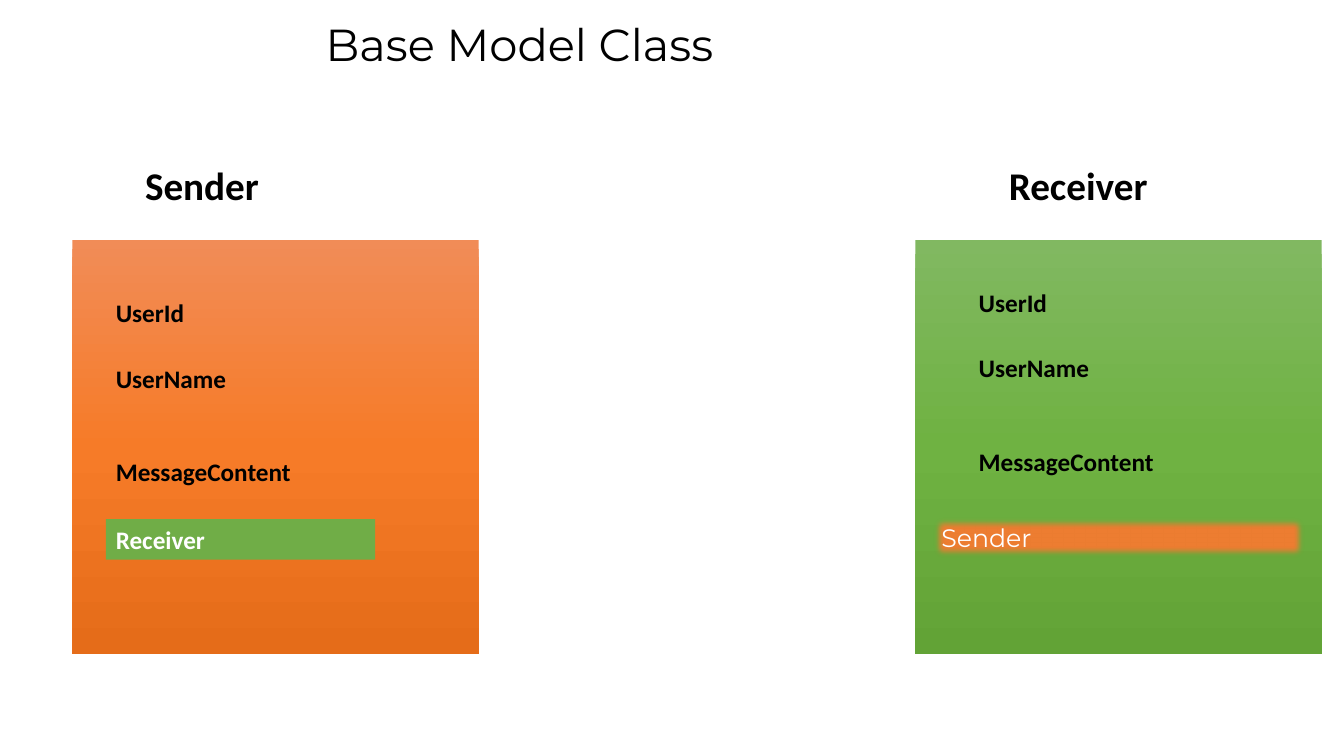
from copy import deepcopy
from dataclasses import dataclass

from lxml.etree import SubElement
from pptx import Presentation
from pptx.dml.color import RGBColor
from pptx.enum.shapes import MSO_SHAPE
from pptx.enum.text import MSO_ANCHOR, MSO_AUTO_SIZE, PP_ALIGN
from pptx.oxml.ns import qn
from pptx.shapes.autoshape import Shape
from pptx.slide import Slide
from pptx.util import Pt


@dataclass(frozen=True)
class Box:
    left: float
    top: float
    width: float
    height: float


@dataclass(frozen=True)
class Label:
    text: str
    box: Box
    size: float = 18
    font: str = "Calibri"
    color: str = "000000"
    bold: bool = True


@dataclass(frozen=True)
class Badge:
    label: Label
    fill: str
    soft_edge: float = 0


@dataclass(frozen=True)
class ModelClass:
    panel_left: float
    gradient: tuple[str, str, str]
    heading: Label
    fields_left: float
    fields_top: float
    badge: Badge


FIELD_OFFSETS = {"UserId": 0, "UserName": 46.8, "MessageContent": 113.8}
FIELD_WIDTH = 192.4
FIELD_HEIGHT = 29

TITLE = Label("Base Model Class", Box(225.4, 8.6, 553, 46), 32, "Montserrat", bold=False)

MODEL_CLASSES = (
    ModelClass(
        panel_left=51.8,
        gradient=("F18C57", "F67B28", "E56C19"),
        heading=Label("Sender", Box(96.5, 111.6, 171.4, 41), 28),
        fields_left=75.6,
        fields_top=208.8,
        badge=Badge(
            Label("Receiver", Box(75.6, 370.8, FIELD_WIDTH, FIELD_HEIGHT), color="FFFFFF"),
            "70AD47",
        ),
    ),
    ModelClass(
        panel_left=653.8,
        gradient=("81B861", "6FB242", "62A336"),
        heading=Label("Receiver", Box(713.5, 111.6, 171.4, 41), 28),
        fields_left=692,
        fields_top=201.6,
        badge=Badge(
            Label("Sender", Box(665.3, 368.6, 267.8, 31), 18, "Montserrat", "FFFFFF", False),
            "ED7D31",
            soft_edge=5,
        ),
    ),
)


def hex_color(value: str) -> RGBColor:
    return RGBColor.from_string(value)


def place(shape: Shape, box: Box) -> None:
    shape.left, shape.top = Pt(box.left), Pt(box.top)
    shape.width, shape.height = Pt(box.width), Pt(box.height)


def write_label(shape: Shape, label: Label, anchor: MSO_ANCHOR = MSO_ANCHOR.TOP) -> None:
    frame = shape.text_frame
    frame.word_wrap = True
    frame.auto_size = MSO_AUTO_SIZE.NONE
    frame.vertical_anchor = anchor
    paragraph = frame.paragraphs[0]
    paragraph.alignment = PP_ALIGN.LEFT
    run = paragraph.add_run()
    run.text = label.text
    run.font.name = label.font
    run.font.size = Pt(label.size)
    run.font.bold = label.bold
    run.font.color.rgb = hex_color(label.color)


def add_label(slide: Slide, label: Label) -> None:
    shape = slide.shapes.add_textbox(0, 0, 0, 0)
    place(shape, label.box)
    write_label(shape, label)


def add_rectangle(slide: Slide, box: Box) -> Shape:
    shape = slide.shapes.add_shape(MSO_SHAPE.RECTANGLE, 0, 0, 0, 0)
    place(shape, box)
    shape.shadow.inherit = False
    shape.line.fill.background()
    return shape


def add_panel(slide: Slide, left: float, colors: tuple[str, str, str]) -> None:
    panel = add_rectangle(slide, Box(left, 171.4, 290.2, 295.9))
    panel.fill.gradient()
    panel.fill.gradient_angle = 270
    stop_list = panel._element.spPr.find(qn("a:gradFill")).find(qn("a:gsLst"))
    stop_list.insert(1, deepcopy(stop_list[0]))
    for stop, position, color in zip(panel.fill.gradient_stops, (0, 0.5, 1), colors):
        stop.position = position
        stop.color.rgb = hex_color(color)


def add_badge(slide: Slide, badge: Badge) -> None:
    shape = add_rectangle(slide, badge.label.box)
    shape.fill.solid()
    shape.fill.fore_color.rgb = hex_color(badge.fill)
    if badge.soft_edge:
        effects = shape._element.spPr.find(qn("a:effectLst"))
        SubElement(effects, qn("a:softEdge"), rad=str(Pt(badge.soft_edge)))
    write_label(shape, badge.label, MSO_ANCHOR.MIDDLE)


def add_model_class(slide: Slide, model: ModelClass) -> None:
    add_panel(slide, model.panel_left, model.gradient)
    add_label(slide, model.heading)
    for name, offset in FIELD_OFFSETS.items():
        box = Box(model.fields_left, model.fields_top + offset, FIELD_WIDTH, FIELD_HEIGHT)
        add_label(slide, Label(name, box))
    add_badge(slide, model.badge)


def main() -> None:
    presentation = Presentation()
    presentation.slide_width, presentation.slide_height = Pt(960), Pt(540)
    slide = presentation.slides.add_slide(presentation.slide_layouts[5])
    title = slide.shapes.title
    place(title, TITLE.box)
    write_label(title, TITLE)
    for model in MODEL_CLASSES:
        add_model_class(slide, model)
    presentation.save("out.pptx")


if __name__ == "__main__":
    main()
